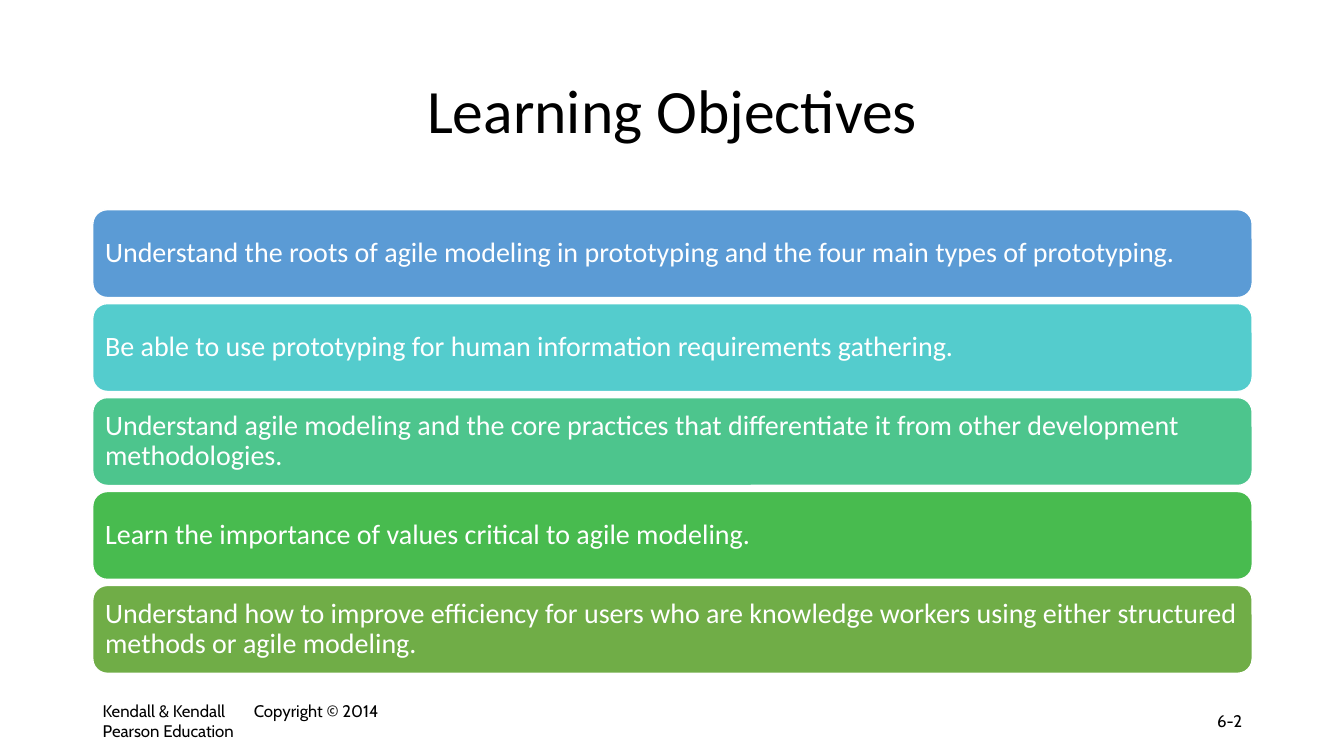
from pptx import Presentation
from pptx.dml.color import RGBColor
from pptx.enum.shapes import MSO_SHAPE
from pptx.enum.text import MSO_ANCHOR, PP_ALIGN
from pptx.util import Inches, Pt

BLACK = RGBColor(0x00, 0x00, 0x00)
WHITE = RGBColor(0xFF, 0xFF, 0xFF)
BLUE = RGBColor(0x5B, 0x9B, 0xD5)
TURQUOISE = RGBColor(0x54, 0xCC, 0xCD)
MINT = RGBColor(0x4D, 0xC5, 0x8D)
GREEN = RGBColor(0x48, 0xBB, 0x4F)
OLIVE = RGBColor(0x70, 0xAD, 0x47)

WIDTH, HEIGHT = 13.33, 7.5
MARGIN, CONTENT_WIDTH = 0.92, 11.5
BAR_GAP = 0.06
BAR_INSET = 0.08
FOOTER_WIDTH = 3

OBJECTIVES = [
    (BLUE, "Understand the roots of agile modeling in prototyping and the four main types of prototyping."),
    (TURQUOISE, "Be able to use prototyping for human information requirements gathering."),
    (MINT, "Understand agile modeling and the core practices that differentiate it from other development methodologies."),
    (GREEN, "Learn the importance of values critical to agile modeling."),
    (OLIVE, "Understand how to improve efficiency for users who are knowledge workers using either structured methods or agile modeling."),
]


def write(frame, text, font_name, size, color, align, line_spacing=None):
    frame.word_wrap = True
    frame.vertical_anchor = MSO_ANCHOR.MIDDLE
    frame.text = text
    paragraph = frame.paragraphs[0]
    paragraph.alignment = align
    paragraph.line_spacing = line_spacing
    paragraph.font.name = font_name
    paragraph.font.size = Pt(size)
    paragraph.font.color.rgb = color


def place_title(slide, left, top, width, height):
    title = slide.shapes.title
    title.left, title.top = Inches(left), Inches(top)
    title.width, title.height = Inches(width), Inches(height)
    write(title.text_frame, "Learning Objectives", "Calibri", 44, BLACK, PP_ALIGN.CENTER, 0.9)


def place_objectives(slide, left, top, width, height):
    pitch = (height + BAR_GAP) / len(OBJECTIVES)
    for row, (color, objective) in enumerate(OBJECTIVES):
        bar = slide.shapes.add_shape(
            MSO_SHAPE.ROUNDED_RECTANGLE, Inches(left), Inches(top + row * pitch),
            Inches(width), Inches(pitch - BAR_GAP))
        bar.shadow.inherit = False
        bar.fill.solid()
        bar.fill.fore_color.rgb = color
        bar.line.color.rgb = WHITE
        bar.line.width = Pt(1)
        frame = bar.text_frame
        frame.margin_left = frame.margin_right = Inches(BAR_INSET)
        frame.margin_top = frame.margin_bottom = Inches(BAR_INSET)
        write(frame, objective, "Calibri", 20, WHITE, PP_ALIGN.LEFT, 0.9)


def place_footer(slide, left, top, width, height):
    notes = [
        (left, "Kendall & Kendall\tCopyright © 2014 Pearson Education", PP_ALIGN.LEFT),
        (left + width - FOOTER_WIDTH, "6-2", PP_ALIGN.RIGHT),
    ]
    for note_left, text, align in notes:
        note = slide.shapes.add_textbox(
            Inches(note_left), Inches(top), Inches(FOOTER_WIDTH), Inches(height))
        write(note.text_frame, text, "Cabin", 12, BLACK, align)


def main():
    deck = Presentation()
    deck.slide_width, deck.slide_height = Inches(WIDTH), Inches(HEIGHT)
    slide = deck.slides.add_slide(deck.slide_layouts[5])
    place_title(slide, MARGIN, 0.4, CONTENT_WIDTH, 1.45)
    place_objectives(slide, MARGIN, 2.08, CONTENT_WIDTH, 4.6)
    place_footer(slide, MARGIN, 6.95, CONTENT_WIDTH, 0.4)
    deck.save("out.pptx")


if __name__ == "__main__":
    main()
